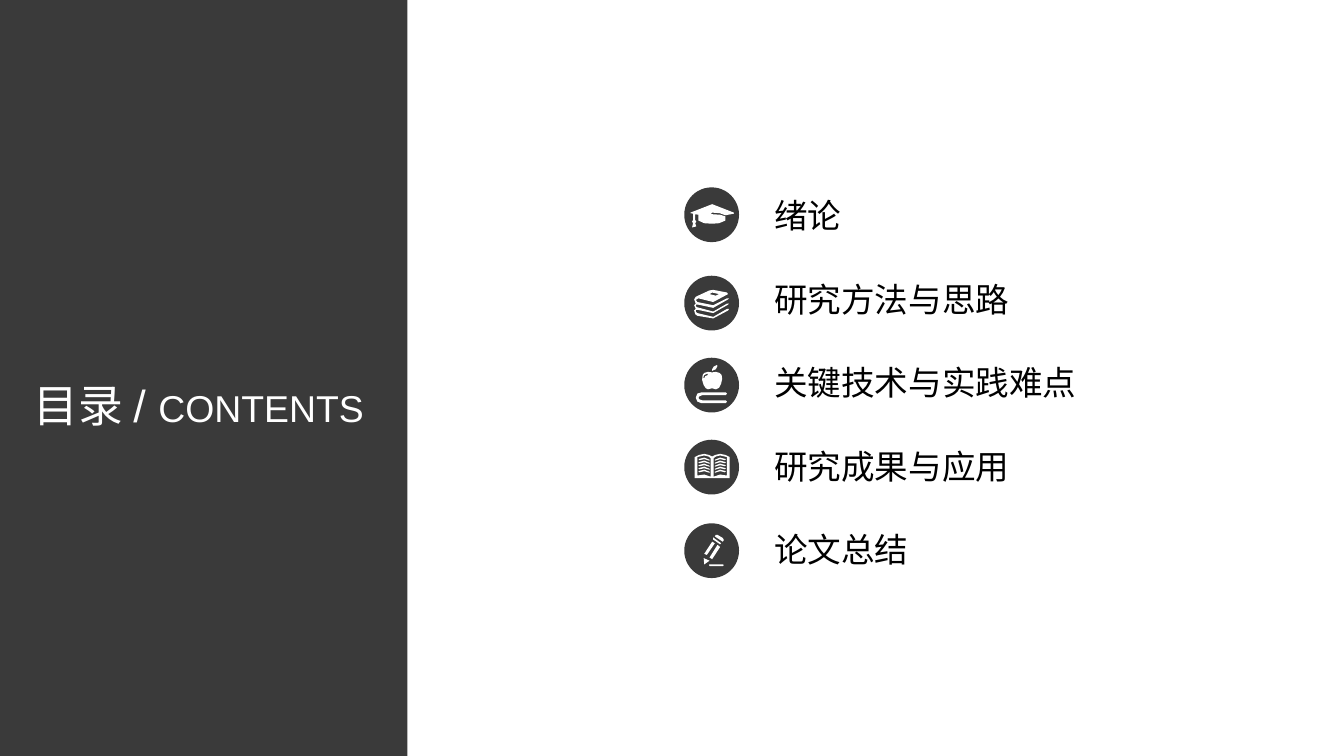
from pptx import Presentation
from pptx.dml.color import RGBColor
from pptx.enum.shapes import MSO_SHAPE
from pptx.enum.text import MSO_AUTO_SIZE, PP_ALIGN
from pptx.oxml.ns import qn
from pptx.util import Cm, Pt

RECTANGLE, OVAL = MSO_SHAPE.RECTANGLE, MSO_SHAPE.OVAL
FIT_SHAPE = MSO_AUTO_SIZE.SHAPE_TO_FIT_TEXT
LEFT, CENTER = PP_ALIGN.LEFT, PP_ALIGN.CENTER

COLORS = {"dark": "3A3A3A", "white": "FFFFFF", "black": "000000"}
LATIN, CHINESE = "Arial", "Noto Sans CJK SC"
WIDTH, HEIGHT = 25.4, 14.29
BADGE_LEFT, BADGE_SIZE = 12.95, 1
LABEL_LEFT, LABEL_TOP, LABEL_PITCH = 14.38, 3.56, 1.58
LABEL_SIZE, CHARACTER_WIDTH, INSETS = 18, 0.635, 0.51

# Icon outlines lie on a 100 x 100 grid that covers the badge.
CAP = [[(10, 46), (51, 30), (92, 46), (92, 48), (76, 51), (65, 47), (51, 46),
        (48, 47), (51, 49), (66, 50), (76, 53), (76, 61), (64, 66), (51, 67),
        (36, 66), (25, 61), (25, 50), (19, 49), (19, 60), (21, 63), (19, 66),
        (21, 72), (13, 74), (15, 66), (13, 63), (15, 60), (15, 48), (10, 47)]]
BOOKS = [[(53, 69), (81, 53), (83, 51), (79, 51), (53, 66), (23, 58), (20, 56),
          (20, 53), (25, 53), (53, 59), (81, 43), (83, 41), (79, 41), (53, 54),
          (23, 48), (20, 44), (25, 41), (53, 48), (81, 33), (79, 30), (53, 25),
          (46, 26), (20, 38), (17, 43), (20, 51), (17, 54), (20, 61), (17, 64),
          (19, 71), (23, 74), (53, 79), (81, 64), (83, 61), (79, 61), (53, 76),
          (23, 69), (20, 66), (20, 63), (25, 63)],
         [(51, 30), (64, 33), (58, 36), (46, 33)]]
APPLE = [[(79, 81), (77, 84), (30, 84), (23, 81), (20, 74), (23, 66), (30, 64),
          (77, 64), (79, 66), (77, 69), (33, 69), (27, 71), (25, 74), (27, 77),
          (33, 79), (77, 79)],
         [(51, 23), (58, 20), (61, 14), (60, 12), (54, 15), (51, 20)],
         [(69, 31), (65, 27), (58, 25), (51, 26), (43, 25), (36, 27), (33, 31),
          (32, 40), (35, 50), (39, 56), (43, 58), (51, 56), (58, 58), (64, 55),
          (68, 47), (70, 38)],
         [(43, 31), (38, 33), (36, 37), (34, 36), (36, 31), (42, 28)]]
PENCIL = [[(58, 20), (61, 20), (71, 26), (73, 30), (71, 33), (56, 23)],
          [(53, 25), (53, 29), (66, 38), (68, 36)],
          [(36, 76), (35, 64), (46, 69)],
          [(36, 56), (51, 33), (56, 36), (41, 58)],
          [(46, 63), (61, 39), (66, 43), (51, 66)],
          [(46, 76), (71, 76), (73, 77), (71, 79), (46, 79), (45, 77)]]
BOOK_COVER = [(84, 31), (76, 27), (66, 25), (57, 27), (51, 30), (45, 27),
              (36, 25), (26, 27), (18, 31), (18, 71), (84, 71)]
LEFT_PAGE = [(48, 33), (48, 68), (36, 64), (23, 66), (23, 31), (36, 28), (44, 30)]
TEXT_LINE = [(46, 38), (36, 35), (27, 37), (25, 35), (36, 32), (46, 36)]


def mirror(outline):
    """Flip an outline about the spine of the open book."""
    return [(102 - x, y) for x, y in outline]


def open_book():
    """Return the icon's pieces: the cover with its pages, then the text lines."""
    pieces = [[BOOK_COVER, LEFT_PAGE, mirror(LEFT_PAGE)]]
    for row in range(5):
        line = [(x, y + 5.7 * row) for x, y in TEXT_LINE]
        pieces += [[line], [mirror(line)]]
    return pieces


class Painter:
    """Holds the style and the current page."""

    def __init__(self, page):
        self.page = page

    def color(self, name):
        return RGBColor.from_string(COLORS[name])

    def paint(self, shape, fill, line=None):
        shape.shadow.inherit = False
        shape.fill.solid()
        shape.fill.fore_color.rgb = self.color(fill)
        if line:
            shape.line.color.rgb = self.color(line)
            shape.line.width = Pt(1)
        else:
            shape.line.fill.background()

    def panel(self, width, height):
        shape = self.page.shapes.add_shape(RECTANGLE, 0, 0, Cm(width), Cm(height))
        self.paint(shape, "dark")

    def text(self, left, top, width, height, spans, color, font, align=LEFT, wrap=False):
        box = self.page.shapes.add_textbox(Cm(left), Cm(top), Cm(width), Cm(height))
        frame = box.text_frame
        frame.word_wrap = wrap
        frame.auto_size = FIT_SHAPE
        para = frame.paragraphs[0]
        para.alignment = align
        for content, size in spans:
            span = para.add_run()
            span.text = content
            span.font.size = Pt(size)
            span.font.name = font
            span.font.color.rgb = self.color(color)
            east_asian = span.font._element.makeelement(qn("a:ea"), {"typeface": CHINESE})
            span.font._element.find(qn("a:latin")).addnext(east_asian)

    def badge(self, top, pieces):
        group = self.page.shapes.add_group_shape()
        left, top, size = Cm(BADGE_LEFT), Cm(top), Cm(BADGE_SIZE)
        self.paint(group.shapes.add_shape(OVAL, left, top, size, size), "dark", "dark")
        for outlines in pieces:
            self.outline(group, left, top, outlines)

    def outline(self, group, left, top, outlines):
        first, *others = outlines
        builder = group.shapes.build_freeform(*self.grid(first[0]))
        builder.add_line_segments([self.grid(point) for point in first[1:]])
        for other in others:
            builder.move_to(*self.grid(other[0]))
            builder.add_line_segments([self.grid(point) for point in other[1:]])
        self.paint(builder.convert_to_shape(left, top), "white")

    def grid(self, point):
        return [Cm(BADGE_SIZE * value / 100) for value in point]


def main():
    deck = Presentation()
    deck.slide_width, deck.slide_height = Cm(WIDTH), Cm(HEIGHT)
    painter = Painter(deck.slides.add_slide(deck.slide_layouts[6]))

    painter.panel(7.7, HEIGHT)
    painter.text(0.28, 7.01, 6.96, 1.3, [("目录 / ", 24), ("CONTENTS", 20)],
                 "white", LATIN, CENTER, wrap=True)

    chapters = [("绪论", 3.56, [CAP]),
                ("研究方法与思路", 5.23, [BOOKS]),
                ("关键技术与实践难点", 6.78, [APPLE]),
                ("研究成果与应用", 8.33, open_book()),
                ("论文总结", 9.91, [PENCIL])]
    for index, (title, badge_top, icon) in enumerate(chapters):
        painter.text(LABEL_LEFT, LABEL_TOP + index * LABEL_PITCH,
                     len(title) * CHARACTER_WIDTH + INSETS, 1.02,
                     [(title, LABEL_SIZE)], "black", CHINESE)
        painter.badge(badge_top, icon)

    deck.save("out.pptx")


if __name__ == "__main__":
    main()
